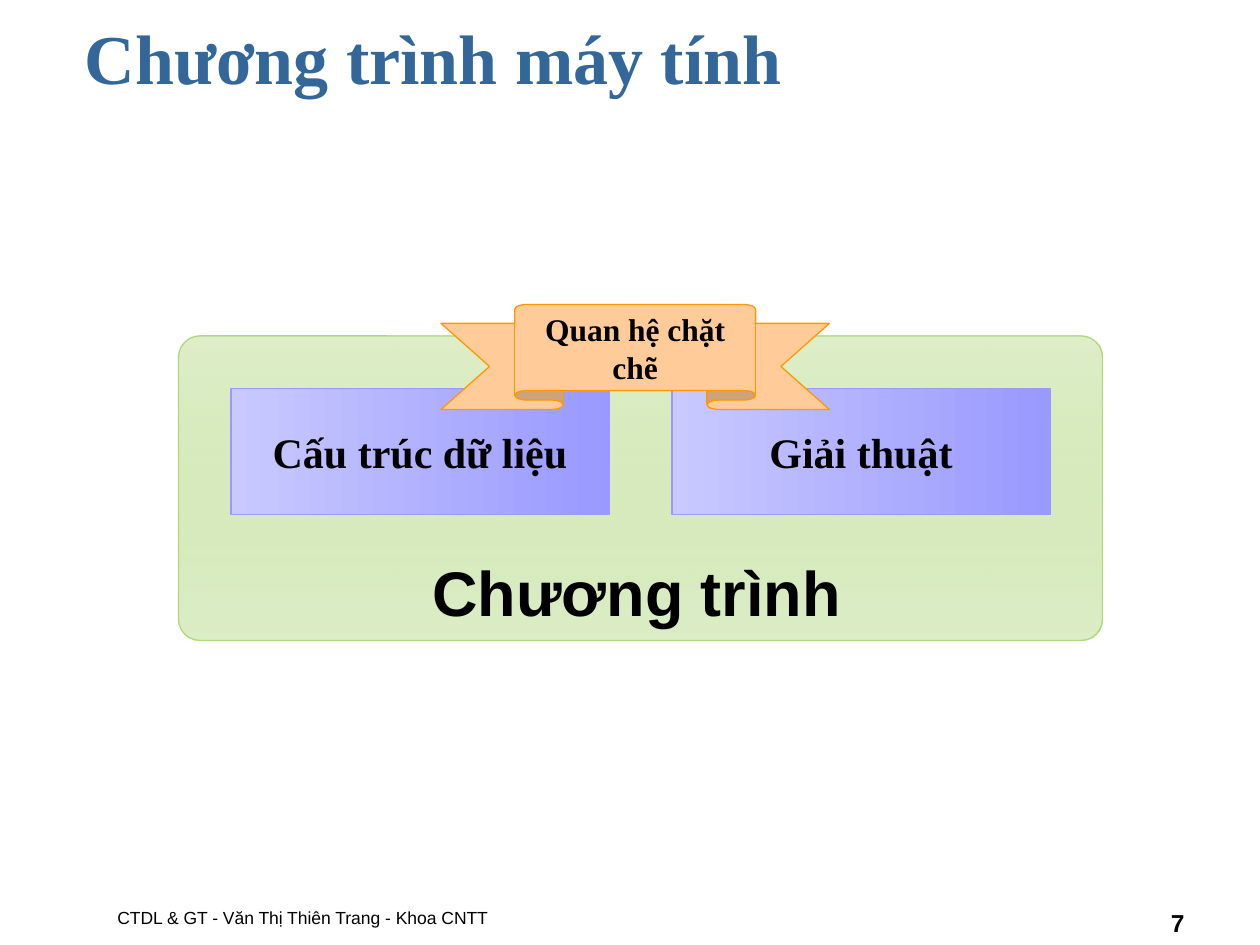
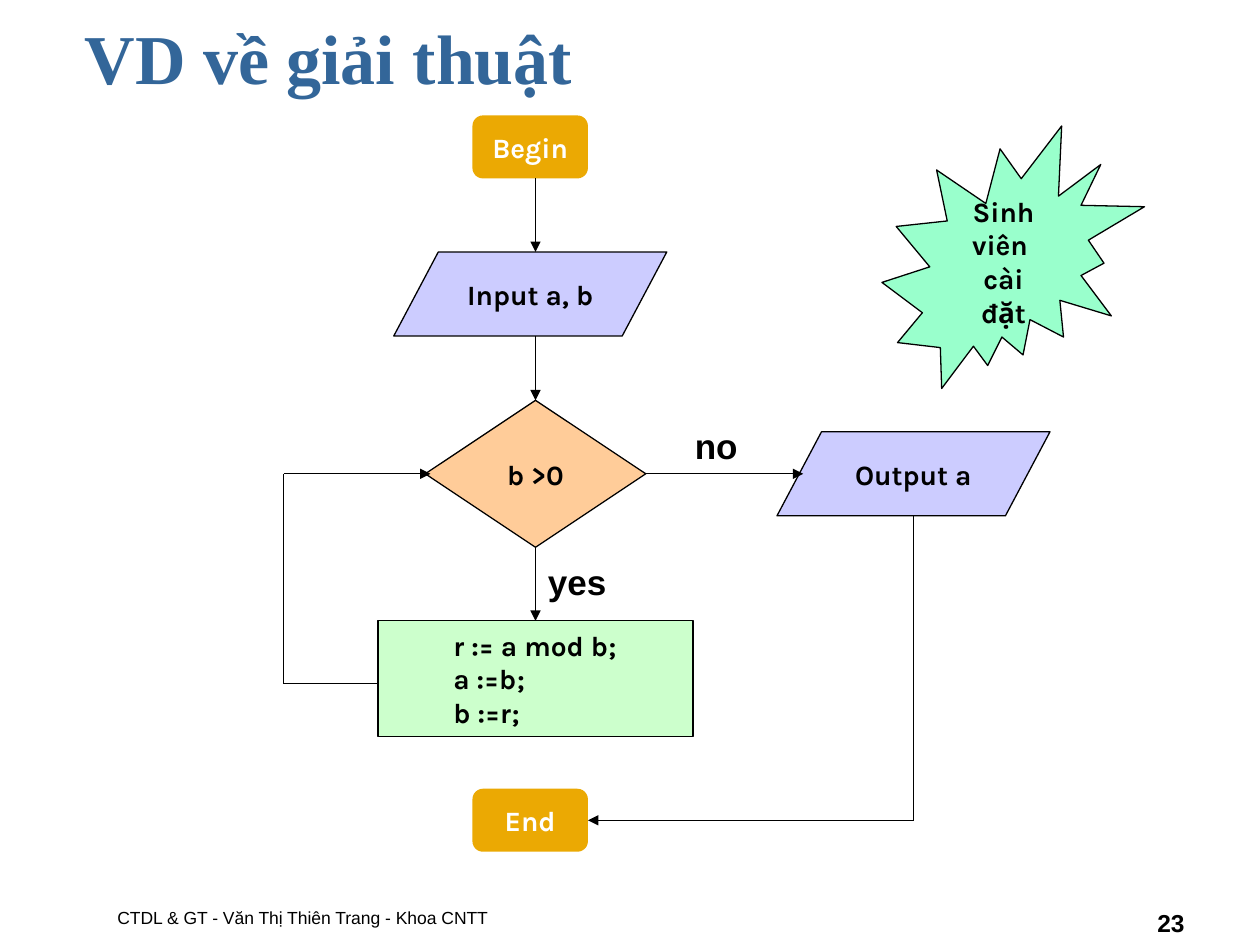
"""Build two slides: the parts of a computer program and an algorithm flowchart."""
from lxml.etree import SubElement
from pptx import Presentation
from pptx.dml.color import RGBColor
from pptx.enum.shapes import MSO_CONNECTOR, MSO_SHAPE as SHAPE
from pptx.enum.text import MSO_ANCHOR as ANCHOR, MSO_AUTO_SIZE, PP_ALIGN as ALIGN
from pptx.oxml.ns import qn
from pptx.util import Pt

PX = 9525
COLORS = {
    "title": "336699", "black": "000000", "white": "FFFFFF",
    "panel": "B1D87E", "panel_pale": "DCEEC6",
    "part": "9999FF", "part_pale": "C9C9FF",
    "peach": "FFCC99", "orange": "FF9900", "terminal": "EBA903",
    "data": "CCCCFF", "process": "CCFFCC", "burst": "99FFCC",
}
RGB = {name: RGBColor.from_string(value) for name, value in COLORS.items()}
SERIF, SANS, FLOW = "Times New Roman", "Arial", "Karla"


def write(box, lines, font, size, color="black", bold=True, align=ALIGN.LEFT, anchor=ANCHOR.TOP, level=0):
    frame = box.text_frame
    frame.word_wrap = True
    frame.auto_size = MSO_AUTO_SIZE.NONE
    frame.vertical_anchor = anchor
    frame.text = lines
    for para in frame.paragraphs:
        para.alignment = align
        para.level = level
        para.font.name = font
        para.font.size = Pt(size)
        para.font.bold = bold
        para.font.color.rgb = RGB[color]


def link(page, points, start=None, end=None, arrow=True):
    line = page.shapes.add_connector(MSO_CONNECTOR.STRAIGHT, *[value * PX for value in points])
    line.line.color.rgb = RGB["black"]
    line.line.width = Pt(0.75)
    if start:
        line.begin_connect(*start)
    if end:
        line.end_connect(*end)
    if arrow:
        SubElement(line.line._get_or_add_ln(), qn("a:tailEnd"), type="triangle")
    SubElement(line._element.spPr, qn("a:effectLst"))


deck = Presentation()
deck.slide_width, deck.slide_height = 960 * PX, 720 * PX

pages = []
for title, number in (("Chương trình máy tính", "7"), ("VD về giải thuật", "23")):
    page = deck.slides.add_slide(deck.slide_layouts[5])
    heading = page.shapes.title
    heading.left, heading.top, heading.width, heading.height = [value * PX for value in (55, 6, 864, 83)]
    write(heading, title, SERIF, 40, "title")
    footer = page.shapes.add_textbox(80 * PX, 664 * PX, 584 * PX, 48 * PX)
    write(footer, "CTDL & GT - Văn Thị Thiên Trang - Khoa CNTT", SANS, 10, bold=False, anchor=ANCHOR.BOTTOM)
    counter = page.shapes.add_textbox(688 * PX, 671 * PX, 224 * PX, 48 * PX)
    write(counter, number, SANS, 14, align=ALIGN.RIGHT, anchor=ANCHOR.BOTTOM)
    pages.append(page)
program, flow = pages

part_fill = ("part_pale", "part", 0)
shapes = [
    (program, SHAPE.ROUNDED_RECTANGLE, (136, 256, 704, 232), [0.07], ("panel", "panel_pale", 270), "panel", "", SERIF, 18),
    (program, SHAPE.RECTANGLE, (512, 296, 288, 96), [], part_fill, "part", "Giải thuật", SERIF, 24),
    (program, SHAPE.RECTANGLE, (176, 296, 288, 96), [], part_fill, "part", "Cấu trúc dữ liệu", SERIF, 24),
    (program, SHAPE.UP_RIBBON, (336, 232, 296, 80), [0.18, 0.62], "peach", "orange", "Quan hệ chặt chẽ", SERIF, 18),
    (flow, SHAPE.ROUNDED_RECTANGLE, (360, 88, 88, 48), [], "terminal", None, "Begin", FLOW, 16),
    (flow, SHAPE.PARALLELOGRAM, (300, 192, 208, 64), [0.53], "data", "black", "Input a, b", FLOW, 16),
    (flow, SHAPE.DIAMOND, (324, 305, 168, 112), [], "peach", "black", "b >0", FLOW, 16),
    (flow, SHAPE.RECTANGLE, (288, 473, 240, 88), [], "process", "black", "r := a mod b;\na :=b;\nb :=r;", FLOW, 16),
    (flow, SHAPE.PARALLELOGRAM, (592, 329, 208, 64), [0.53], "data", "black", "Output a", FLOW, 16),
    (flow, SHAPE.ROUNDED_RECTANGLE, (360, 601, 88, 48), [], "terminal", None, "End", FLOW, 16),
    (flow, SHAPE.EXPLOSION2, (672, 96, 200, 200), [], "burst", "black", "Sinh viên \ncài đặt", FLOW, 16),
]
drawn = {}
for page, kind, place, adjustments, fill, outline, text, font, size in shapes:
    box = page.shapes.add_shape(kind, *[value * PX for value in place])
    box.shadow.inherit = False
    for index, value in enumerate(adjustments):
        box.adjustments[index] = value
    if isinstance(fill, tuple):
        box.fill.gradient()
        box.fill.gradient_angle = fill[2]
        for stop, name, position in zip(box.fill.gradient_stops, fill, (0, 1)):
            stop.color.rgb = RGB[name]
            stop.position = position
    else:
        box.fill.solid()
        box.fill.fore_color.rgb = RGB[fill]
    if outline:
        box.line.color.rgb = RGB[outline]
        box.line.width = Pt(0.75)
    else:
        box.line.fill.background()
    is_code = ":=" in text
    if text:
        write(box, text, font, size, "white" if fill == "terminal" else "black",
              align=ALIGN.LEFT if is_code else ALIGN.CENTER, anchor=ANCHOR.MIDDLE, level=int(is_code))
    drawn["process" if is_code else text or "panel"] = box

panel_start = next(drawn["panel"]._element.spPr.iter(qn("a:srgbClr")))
SubElement(panel_start, qn("a:alpha"), val="41000")

test, process, finish = drawn["b >0"], drawn["process"], drawn["End"]
link(flow, (408, 136, 408, 192))
link(flow, (408, 256, 408, 305), end=(test, 0))
link(flow, (408, 417, 408, 473), start=(test, 2), end=(process, 0))
link(flow, (492, 361, 612, 361), start=(test, 3))
link(flow, (288, 521, 216, 521), arrow=False)
link(flow, (216, 521, 216, 361), arrow=False)
link(flow, (216, 361, 328, 361))
link(flow, (696, 393, 696, 625), arrow=False)
link(flow, (696, 625, 448, 625), end=(finish, 3))

for page, text, place, size in (
    (program, "Chương trình", (320, 417, 340, 67), 36),
    (flow, "yes", (408, 422, 72, 41), 20),
    (flow, "no", (520, 319, 60, 41), 20),
):
    label = page.shapes.add_textbox(*[value * PX for value in place])
    write(label, text, SANS, size)

deck.save("out.pptx")
